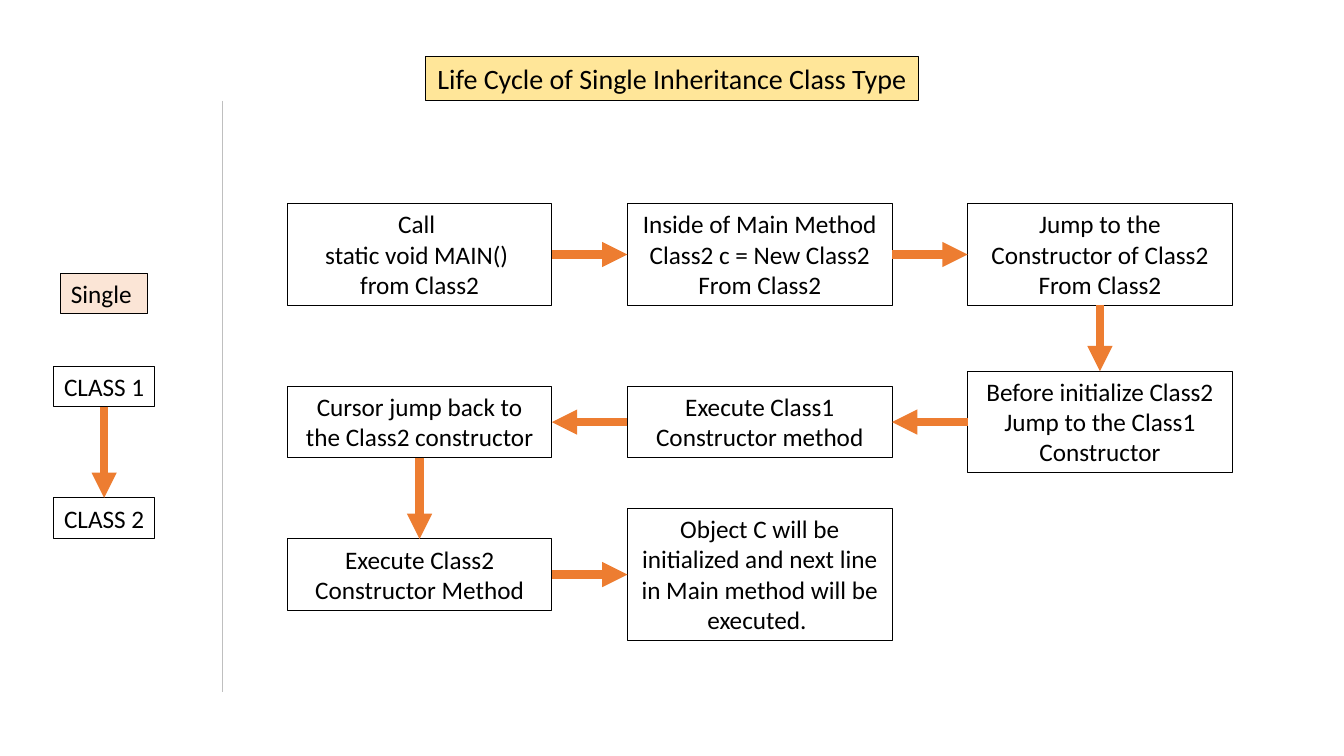
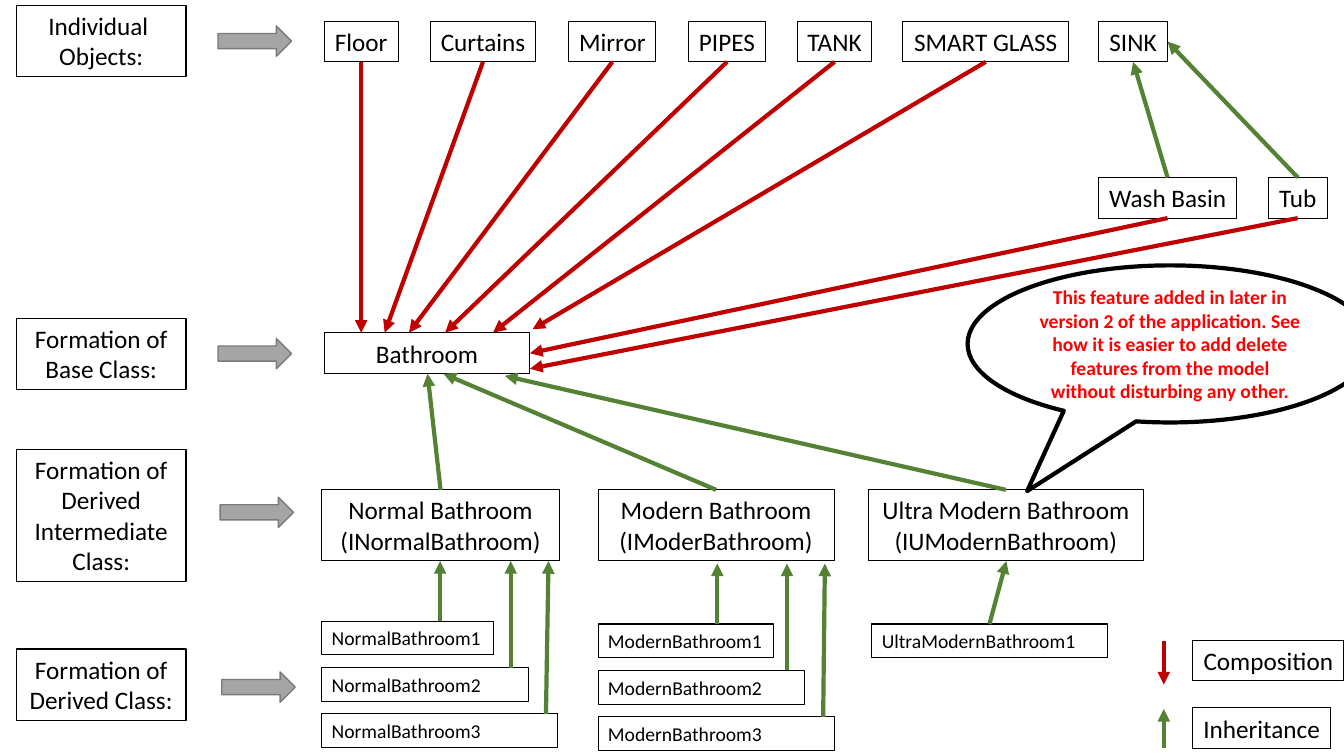
from dataclasses import dataclass

from lxml import etree
from pptx import Presentation
from pptx.dml.color import RGBColor
from pptx.enum.shapes import MSO_CONNECTOR, MSO_SHAPE
from pptx.enum.text import MSO_ANCHOR, MSO_AUTO_SIZE, PP_ALIGN
from pptx.oxml.ns import qn
from pptx.shapes.base import BaseShape
from pptx.util import Emu, Inches, Pt

STRAIGHT = MSO_CONNECTOR.STRAIGHT
RIGHT_ARROW = MSO_SHAPE.RIGHT_ARROW
CALLOUT = MSO_SHAPE.OVAL_CALLOUT
CENTER = PP_ALIGN.CENTER
LEFT_ALIGNED = PP_ALIGN.LEFT
MIDDLE = MSO_ANCHOR.MIDDLE
NO_AUTOFIT = MSO_AUTO_SIZE.NONE
TOP, LEFT, BOTTOM, RIGHT = range(4)
COLUMNS, ROWS = 160, 90
TITLE_ONLY, BLANK = 5, 6


@dataclass(frozen=True)
class Theme:
    font: str = "Calibri"
    title_size: int = 20
    body_size: int = 18
    small_size: int = 14
    ink: str = "000000"
    paper: str = "FFFFFF"
    title_fill: str = "FFE699"
    label_fill: str = "FBE5D6"
    flow: str = "ED7D31"
    divider: str = "BFBFBF"
    composition: str = "C00000"
    inheritance: str = "548235"
    pointer_fill: str = "A5A5A5"
    pointer_line: str = "7A7A7A"
    remark: str = "FF0000"
    outline: float = 0.75
    flow_width: float = 6
    relation_width: float = 3


THEME = Theme()


class Deck:
    def __init__(self):
        self.presentation = Presentation()
        self.presentation.slide_width = Inches(13.333)
        self.presentation.slide_height = Inches(7.5)
        self.slide = None

    def new_slide(self, layout):
        layouts = self.presentation.slide_layouts
        self.slide = self.presentation.slides.add_slide(layouts[layout])

    def cells(self, column, row):
        return (Emu(round(column * self.presentation.slide_width / COLUMNS)),
                Emu(round(row * self.presentation.slide_height / ROWS)))

    def text_height(self, lines, size):
        return 1.2 + 0.202 * lines * size

    def set_text(self, shape, text, size, color=THEME.ink, align=CENTER, bold=False):
        frame = shape.text_frame
        frame.text = text
        for paragraph in frame.paragraphs:
            paragraph.alignment = align
            for run in paragraph.runs:
                run.font.name = THEME.font
                run.font.size = Pt(size)
                run.font.bold = bold
                run.font.color.rgb = RGBColor.from_string(color)

    def paint(self, shape, fill, line, width):
        if fill:
            shape.fill.solid()
            shape.fill.fore_color.rgb = RGBColor.from_string(fill)
        shape.line.color.rgb = RGBColor.from_string(line)
        shape.line.width = Pt(width)

    def title(self, text, middle, width):
        height = self.text_height(1, THEME.title_size)
        shape = self.slide.shapes.title
        shape.left, shape.top = self.cells((COLUMNS - width) / 2, middle - height / 2)
        shape.width, shape.height = self.cells(width, height)
        self.set_text(shape, text, THEME.title_size)
        shape.text_frame.auto_size = NO_AUTOFIT
        shape.text_frame.vertical_anchor = MIDDLE
        self.paint(shape, THEME.title_fill, THEME.ink, THEME.outline)

    def box(self, text, left, middle, width, lines=1, size=THEME.body_size,
            align=CENTER, fill=None):
        height = self.text_height(lines, size)
        shape = self.slide.shapes.add_textbox(
            *self.cells(left, middle - height / 2), *self.cells(width, height))
        self.set_text(shape, text, size, align=align)
        shape.text_frame.word_wrap = lines > 1 or align == LEFT_ALIGNED
        self.paint(shape, fill, THEME.ink, THEME.outline)
        return shape

    def preset(self, kind, left, top, width, height, fill, line, line_width):
        shape = self.slide.shapes.add_shape(
            kind, *self.cells(left, top), *self.cells(width, height))
        shape.shadow.inherit = False
        self.paint(shape, fill, line, line_width)
        return shape

    def line(self, start, end, color, width):
        connector = self.slide.shapes.add_connector(STRAIGHT, 0, 0, 0, 0)
        if isinstance(start[0], BaseShape):
            connector.begin_connect(*start)
        else:
            connector.begin_x, connector.begin_y = self.cells(*start)
        if isinstance(end[0], BaseShape):
            connector.end_connect(*end)
        else:
            connector.end_x, connector.end_y = self.cells(*end)
        connector.line.color.rgb = RGBColor.from_string(color)
        connector.line.width = Pt(width)
        etree.SubElement(connector.element.spPr, qn("a:effectLst"))
        return connector

    def arrow(self, start, end, color, width=THEME.relation_width):
        connector = self.line(start, end, color, width)
        outline = connector.element.spPr.find(qn("a:ln"))
        etree.SubElement(outline, qn("a:tailEnd"), type="triangle")


def life_cycle_slide(deck):
    deck.new_slide(TITLE_ONLY)
    deck.title("Life Cycle of Single Inheritance Class Type", 9.35, 58.8)
    deck.line((26.5, 12), (26.5, 82.4), THEME.divider, 0.5)

    deck.box("Single ", 7.2, 34.95, 10.4, fill=THEME.label_fill)
    parent = deck.box("CLASS 1", 6.35, 46, 12.1)
    child = deck.box("CLASS 2", 6.35, 61.7, 12.1)
    deck.arrow((parent, BOTTOM), (child, TOP), THEME.flow, THEME.flow_width)

    rows = (30.3, 50.25, 68.4)
    steps = [
        ("Call \nstatic void MAIN() \nfrom Class2", 0, 0, 3),
        ("Inside of Main Method\nClass2 c = New Class2\nFrom Class2", 1, 0, 3),
        ("Jump to the Constructor of Class2\nFrom Class2", 2, 0, 3),
        ("Before initialize Class2\nJump to the Class1 Constructor", 2, 1, 3),
        ("Execute Class1 Constructor method", 1, 1, 2),
        ("Cursor jump back to the Class2 constructor", 0, 1, 2),
        ("Execute Class2 Constructor Method", 0, 2, 2),
        ("Object C will be initialized and next line in Main method will be executed. ",
         1, 2, 4),
    ]
    boxes = [deck.box(text, 34.2 + 40.5 * column, rows[row], 31.5, lines)
             for text, column, row, lines in steps]
    sides = {(1, 0): (RIGHT, LEFT), (-1, 0): (LEFT, RIGHT), (0, 1): (BOTTOM, TOP)}
    for index in range(len(steps) - 1):
        column, row = steps[index][1:3]
        next_column, next_row = steps[index + 1][1:3]
        leave, enter = sides[next_column - column, next_row - row]
        deck.arrow((boxes[index], leave), (boxes[index + 1], enter),
                   THEME.flow, THEME.flow_width)


def bathroom_slide(deck):
    deck.new_slide(BLANK)
    stages = [
        ("Individual \nObjects:", 2, 4.9, 25.95, 4.9),
        ("Formation of Base Class:", 2, 42.1, 25.95, 42.1),
        ("Formation of Derived Intermediate Class:", 4, 61.4, 26.2, 61),
        ("Formation of Derived Class:", 2, 81.5, 26.4, 81.8),
    ]
    for text, lines, middle, pointer_left, pointer_middle in stages:
        deck.box(text, 1.95, middle, 20.2, lines)
        deck.preset(RIGHT_ARROW, pointer_left, pointer_middle - 1.8, 8.75, 3.6,
                    THEME.pointer_fill, THEME.pointer_line, 1)

    bathroom = deck.box("Bathroom", 38.6, 42.05, 24.5)
    parts = [
        ("Floor", 38.6, 8.8, (43, 39.6)),
        ("Curtains", 51.2, 12.6, (45.8, 39.6)),
        ("Mirror", 67.7, 10.4, (48.7, 39.6)),
        ("PIPES", 82, 9.1, (53, 39.6)),
        ("TANK", 94.9, 8.9, (58.7, 39.6)),
        ("SMART GLASS", 107.5, 19.7, (63.4, 39.2)),
    ]
    for text, left, width, target in parts:
        part = deck.box(text, left, 4.95, width)
        deck.arrow((part, BOTTOM), target, THEME.composition)

    sink = deck.box("SINK", 130.8, 4.95, 8.2)
    sinks = [
        ("Wash Basin", 130.8, 16.4, BOTTOM, (bathroom, RIGHT)),
        ("Tub", 151, 7, RIGHT, (63.1, 43.9)),
    ]
    for text, left, width, side, target in sinks:
        kind = deck.box(text, left, 23.55, width)
        deck.arrow((kind, TOP), (sink, side), THEME.inheritance)
        deck.arrow((kind, BOTTOM), target, THEME.composition)

    families = [
        ("Normal Bathroom\n(INormalBathroom)", 38.3, 28.3, (50.9, 44.5),
         "NormalBathroom", 38.3, 75.95, 66.8,
         [(20.4, 52.4, 52.4), (24.6, 60.8, 60.8), (28.1, 65, 65.3)]),
        ("Modern Bathroom\n(IModerBathroom)", 71.2, 28.1, (52.8, 44.5),
         "ModernBathroom", 71.2, 76.3, 67.1,
         [(20.9, 85.4, 85.4), (24.6, 93.7, 93.7), (28.1, 98, 98.2)]),
        ("Ultra Modern Bathroom\n(IUModernBathroom)", 103.4, 32.7, (60.1, 44.75),
         "UltraModernBathroom", 103.8, 76.3, 66.8, [(28.1, 117.8, 119.8)]),
    ]
    half = deck.text_height(1, THEME.small_size) / 2
    for text, left, width, target, name, indent, first, tip, versions in families:
        family = deck.box(text, left, 62.55, width, 2)
        deck.arrow((family, TOP), target, THEME.inheritance)
        for index, (version_width, start, end) in enumerate(versions):
            middle = first + 5.53 * index
            deck.box(f"{name}{index + 1}", indent, middle, version_width,
                     size=THEME.small_size, align=LEFT_ALIGNED)
            deck.arrow((start, middle - half), (end, tip), THEME.inheritance)

    legend = [
        ("Composition", 78.65, 18, 76.3, 81.5, THEME.composition),
        ("Inheritance", 86.7, 16.4, 89, 84.4, THEME.inheritance),
    ]
    for text, middle, width, start, end, color in legend:
        deck.box(text, 142, middle, width)
        deck.arrow((138.55, start), (138.55, end), color)

    callout = deck.preset(CALLOUT, 115.2, 31.6, 48.2, 18.7,
                          THEME.paper, THEME.ink, THEME.relation_width)
    callout.adjustments[0], callout.adjustments[1] = -0.353, 0.937
    deck.set_text(callout, "This feature added in later in version 2 of the application. "
                  "See how it is easier to add delete features from the model "
                  "without disturbing any other.",
                  THEME.small_size, THEME.remark, bold=True)
    callout.text_frame.word_wrap = True
    callout.text_frame.vertical_anchor = MIDDLE


def main():
    deck = Deck()
    life_cycle_slide(deck)
    bathroom_slide(deck)
    deck.presentation.save("out.pptx")


if __name__ == "__main__":
    main()
